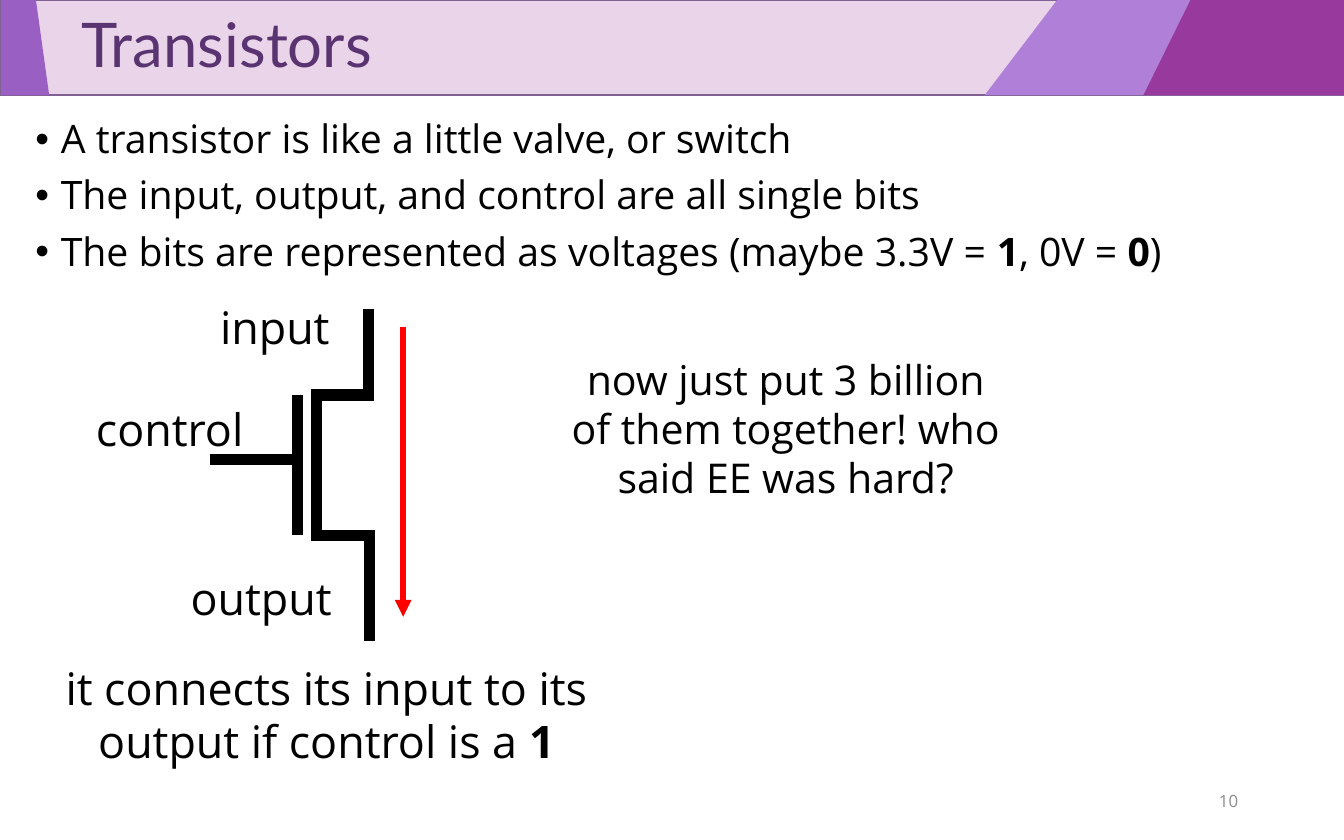
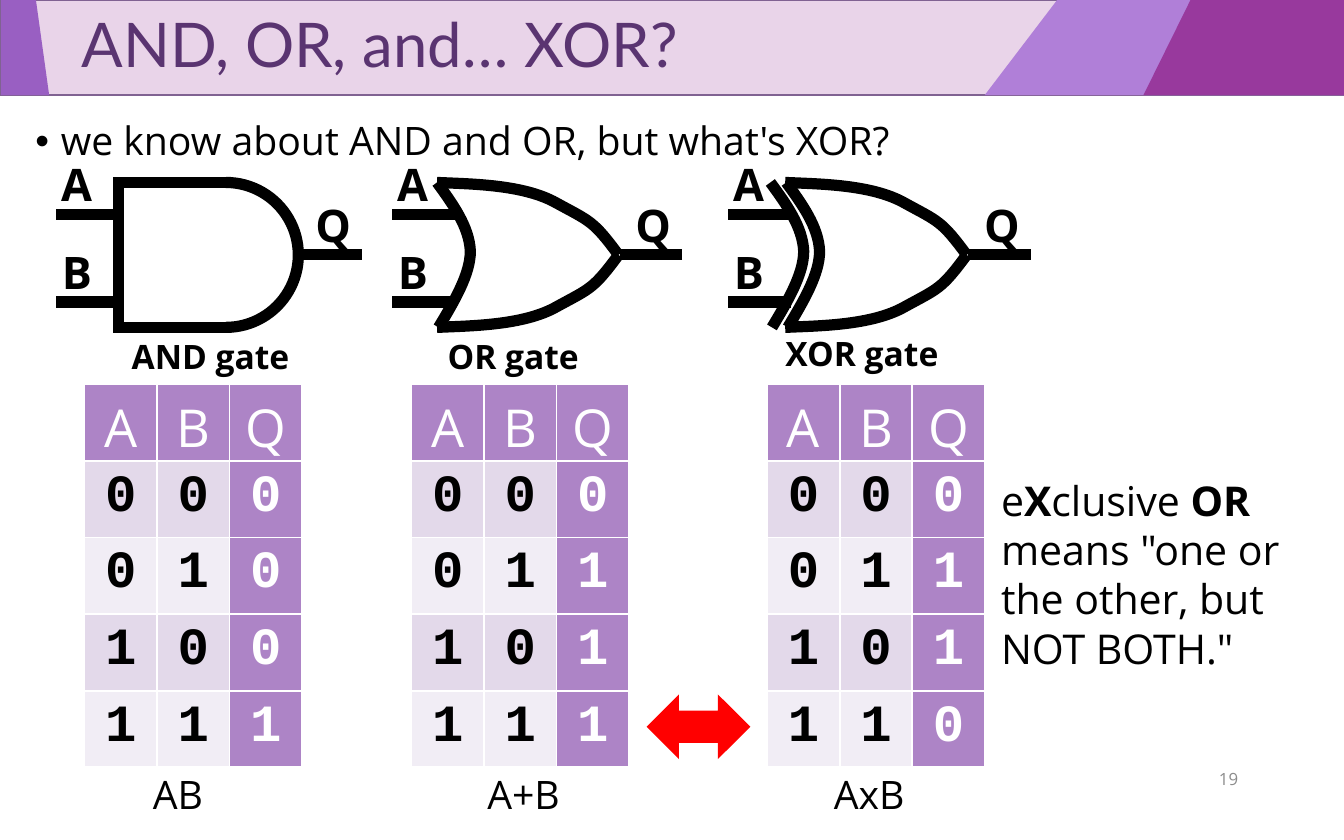
from lxml.etree import SubElement
from pptx import Presentation
from pptx.dml.color import RGBColor
from pptx.enum.shapes import MSO_CONNECTOR, MSO_SHAPE
from pptx.enum.text import MSO_ANCHOR, PP_ALIGN
from pptx.oxml.ns import qn
from pptx.util import Cm, Pt

COLORS = {
    "black": "000000", "white": "FFFFFF", "red": "FF0000",
    "band": "E9D4E9", "band_line": "806292", "title": "5A3471",
    "lilac": "B07FD8", "violet": "995FC2", "plum": "98399D",
    "number": "8C8C8C", "head": "AD84C6", "odd": "E3D9EA", "even": "F1EDF5",
}
RGB = {name: RGBColor.from_string(value) for name, value in COLORS.items()}
CENTER, RIGHT = PP_ALIGN.CENTER, PP_ALIGN.RIGHT


def add_text(s, box, lines, size, align=None, color="black", font="Open Sans",
             middle=False, indent=0, bullet=False, tabs=(), spacing=None):
    """Write lines of text; parts between asterisks are bold."""
    tf = s.shapes.add_textbox(*map(Cm, box)).text_frame
    tf.word_wrap = True
    tf.vertical_anchor = MSO_ANCHOR.MIDDLE if middle else MSO_ANCHOR.TOP
    for i, line in enumerate(lines):
        p = tf.paragraphs[0] if i == 0 else tf.add_paragraph()
        p.alignment = align
        p.line_spacing = spacing
        if i:
            p.space_before = Pt(7.5)
        pPr = p._p.get_or_add_pPr()
        if indent:
            pPr.set("marL", str(Cm(indent)))
            pPr.set("indent", str(-Cm(indent) if bullet else 0))
        if bullet:
            SubElement(pPr, qn("a:buFont"), typeface="Arial")
            SubElement(pPr, qn("a:buChar"), char="•")
        if tabs:
            tab_list = SubElement(pPr, qn("a:tabLst"))
            for tab in tabs:
                SubElement(tab_list, qn("a:tab"), pos=str(Cm(tab)), algn="l")
        for k, part in enumerate(line.split("*")):
            if part:
                r = p.add_run()
                r.text = part
                r.font.size, r.font.name = Pt(size), font
                r.font.bold = k % 2 == 1
                r.font.color.rgb = RGB[color]


def add_path(s, points, fill=None, color="black", width=6, arrow=False, curved=False):
    """Draw a filled outline, an open line or curve, or a connector for two points."""
    pts = [(Cm(x), Cm(y)) for x, y in points]
    if len(pts) == 2:
        sp = s.shapes.add_connector(MSO_CONNECTOR.STRAIGHT, *pts[0], *pts[1])
    else:
        builder = s.shapes.build_freeform(*pts[0], scale=1.0)
        builder.add_line_segments(pts[1:], close=fill is not None)
        sp = builder.convert_to_shape()
        sp.shadow.inherit = False
        if fill:
            sp.fill.solid()
            sp.fill.fore_color.rgb = RGB[fill]
            sp.line.fill.background()
            return
        sp.fill.background()
    if curved:
        # Every three points become one Bezier segment
        geom = next(sp._element.iter(qn("a:path")))
        segments = geom.findall(qn("a:lnTo"))
        for i in range(0, len(segments), 3):
            bezier = SubElement(geom, qn("a:cubicBezTo"))
            for segment in segments[i:i + 3]:
                bezier.append(segment[0])
                geom.remove(segment)
    sp.line.color.rgb = RGB[color]
    sp.line.width = Pt(width)
    ln = sp.line._get_or_add_ln()
    SubElement(ln, qn("a:miter"), lim="800000")
    if arrow:
        SubElement(ln, qn("a:tailEnd"), type="triangle")
    if len(pts) == 2:
        SubElement(sp._element.spPr, qn("a:effectLst"))


prs = Presentation()
prs.slide_width, prs.slide_height = Cm(25.4), Cm(15.88)

# Shared title band, bullets and page number
BAND_H = 1.8
pages = [
    ("Transistors", "10", 14.72, 2.14, [
        "A transistor is like a little valve, or switch",
        "The input, output, and control are all single bits",
        "The bits are represented as voltages (maybe 3.3V = *1*, 0V = *0*)"]),
    ("AND, OR, and… XOR?", "19", 14.31, 2.18, [
        "we know about AND and OR, but what's XOR?"]),
]
# fill, then left and right edges as (top, bottom)
band_parts = [
    ("lilac", (19.98, 18.61), (25.4, 25.4)),
    ("violet", (0.02, 0.02), (0.68, 0.93)),
    ("plum", (22.5, 21.61), (25.4, 25.4)),
]
slides = []
for title, number, number_y, body_y, bullets in pages:
    s = prs.slides.add_slide(prs.slide_layouts[6])
    slides.append(s)
    sp = s.shapes.add_shape(MSO_SHAPE.RECTANGLE, 0, 0, Cm(25.4), Cm(BAND_H))
    sp.shadow.inherit = False
    sp.fill.solid()
    sp.fill.fore_color.rgb = RGB["band"]
    sp.line.color.rgb = RGB["band_line"]
    sp.line.width = Pt(1)
    for fill, (left, left_b), (right, right_b) in band_parts:
        add_path(s, [(left, 0), (right, 0), (right_b, BAND_H), (left_b, BAND_H)], fill)
    add_text(s, (0.02, 0, 25.4, BAND_H), [title], 33, color="title", font="Lato",
             middle=True, indent=1.27, spacing=0.9)
    add_text(s, (0.42, body_y, 24.33, 0.36 + 1.1 * len(bullets)), bullets, 21,
             indent=0.48, bullet=True, spacing=0.9)
    add_text(s, (17.93, number_y, 5.72, 0.84), [number], 9, RIGHT, "number", middle=True)

# Transistor symbol: channel, control plate, control lead
s = slides[0]
add_path(s, [(6.96, 5.84), (6.96, 7.47), (5.98, 7.47),
             (5.98, 10.12), (6.98, 10.12), (6.98, 12.11)])
add_path(s, [(5.62, 7.47), (5.62, 10.11)])
add_path(s, [(5.62, 8.69), (3.96, 8.69)])

# Transistor labels and remarks
add_text(s, (0.9, 12.36, 10.54, 2.31),
         ["it connects its input to its output if control is a *1*"], 24, CENTER)
for label, x, y, w in [("input", 3.38, 5.54, 3.1), ("output", 2.56, 10.67, 3.96),
                       ("control", 0.89, 7.47, 3.96)]:
    add_text(s, (x, y, w, 1.27), [label], 24, RIGHT)
add_text(s, (10.48, 6.57, 8.74, 3.07),
         ["now just put 3 billion of them together! who said EE was hard?"], 22, CENTER)
add_path(s, [(7.62, 6.19), (7.62, 11.66)], color="red", width=3, arrow=True)

# Gate curves as pairs of Bezier segments, relative to the gate's left edge
s = slides[1]
TOP = [(0, 3.45), (0.61, 3.48), (1.63, 3.48), (2.26, 3.84),
       (2.9, 4.19), (2.95, 4.17), (3.43, 4.82)]
BOTTOM = [(x, 9.64 - y) for x, y in TOP]
BACK = [(0, 3.45), (0.3, 3.86), (0.61, 4.29), (0.63, 4.75),
        (0.63, 5.18), (0.33, 5.69), (0.03, 6.19)]
LEAD = 1.18

# name, output x, name box, table x, Q column, curves as (left edge, control points)
gates = [
    ("AND", 5.66, (1.43, 6.22), 1.6, "0001", []),
    ("OR", 11.71, (7.15, 6.22), 7.78, "0111",
     [(8.26, TOP), (8.26, BOTTOM), (8.26, BACK)]),
    ("XOR", 18.3, (13.74, 6.17), 14.5, "0110",
     [(14.84, TOP), (14.84, BOTTOM), (14.86, BACK), (14.56, BACK)]),
]
for i, (name, out_x, name_at, table_x, results, curves) in enumerate(gates):
    # Leads and their labels
    in_x = 1.06 + 6.35 * i
    for label, y in [("A", 4.05), ("B", 5.71)]:
        add_path(s, [(in_x + LEAD, y), (in_x, y)])
        add_text(s, (in_x - 0.21, y - 1.21, 1.14, 1.27), [f"*{label}*"], 24, RIGHT)
    add_path(s, [(out_x + LEAD, 4.81), (out_x, 4.81)])
    add_text(s, (out_x + 0.05, 3.61, 1.75, 1.27), ["*Q*"], 24)

    # Gate outline
    if name == "AND":
        sp = s.shapes.add_shape(MSO_SHAPE.ARC, Cm(2.9), Cm(3.45), Cm(2.74), Cm(2.74))
        sp.adjustments[0], sp.adjustments[1] = 162, 54
        sp.shadow.inherit = False
        sp.fill.background()
        sp.line.color.rgb = RGB["black"]
        sp.line.width = Pt(6)
        add_path(s, [(4.29, 6.19), (2.24, 6.19), (2.24, 3.45), (4.29, 3.45)])
    for left, control in curves:
        add_path(s, [(left + x, y) for x, y in control], curved=True)
    add_text(s, (*name_at, 5.1, 1.02), [f"*{name} gate*"], 18, CENTER)

    # Truth table
    rows = ["ABQ"] + [f"{n:02b}{q}" for n, q in enumerate(results)]
    tbl = s.shapes.add_table(5, 3, Cm(table_x), Cm(7.27), Cm(4.11), Cm(7.2)).table
    for col in tbl.columns:
        col.width = Cm(1.37)
    for n, row in enumerate(rows):
        tbl.rows[n].height = Cm(1.44)
        for k, value in enumerate(row):
            cell = tbl.cell(n, k)
            accent = n == 0 or k == 2
            cell.margin_left = cell.margin_right = Cm(0.13)
            cell.margin_top = cell.margin_bottom = Cm(0.13)
            cell.fill.solid()
            cell.fill.fore_color.rgb = RGB["head" if accent else "odd" if n % 2 else "even"]
            p = cell.text_frame.paragraphs[0]
            p.alignment = CENTER
            r = p.add_run()
            r.text = value
            r.font.size = Pt(28)
            r.font.name = "Courier New" if n else "Open Sans"
            r.font.bold = n > 0
            r.font.color.rgb = RGB["white" if accent else "black"]

# Where OR and XOR differ
sp = s.shapes.add_shape(MSO_SHAPE.LEFT_RIGHT_ARROW, Cm(12.22), Cm(13.13), Cm(1.96), Cm(1.22))
sp.shadow.inherit = False
sp.fill.solid()
sp.fill.fore_color.rgb = RGB["red"]
sp.line.fill.background()
add_text(s, (18.67, 8.86, 6.27, 4.01),
         ['e*X*clusive *OR* means "one or the other, but NOT BOTH."'], 22)

# Formulas under the tables
add_text(s, (0.71, 14.53, 24.33, 1.47), ["\tAB\tA+B\tAxB"], 21,
         tabs=(1.93, 8.25, 14.8), spacing=0.9)

prs.save("out.pptx")
